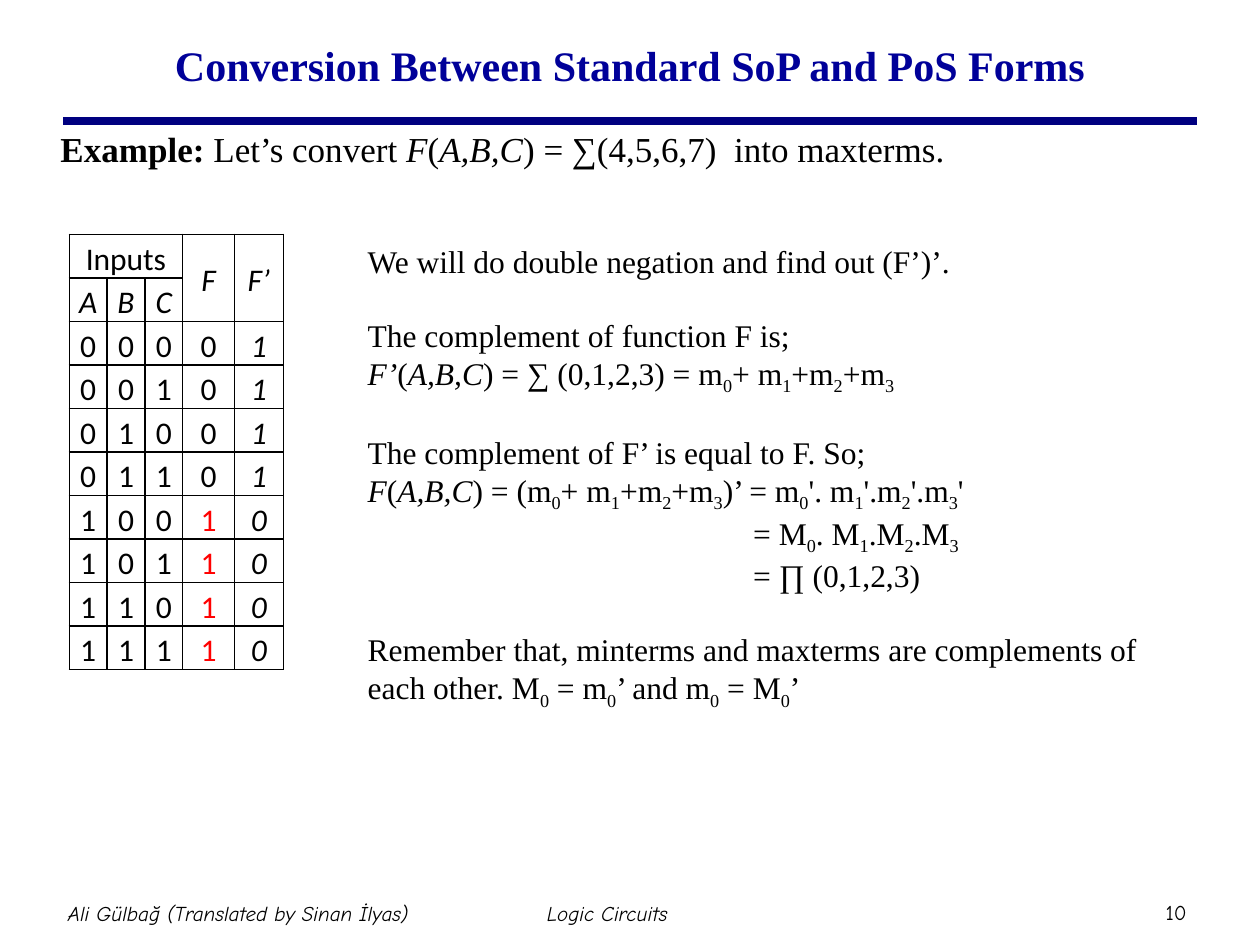
from itertools import product

from lxml.etree import SubElement
from pptx import Presentation
from pptx.dml.color import RGBColor
from pptx.enum.shapes import MSO_CONNECTOR
from pptx.enum.text import MSO_ANCHOR, PP_ALIGN
from pptx.oxml.ns import qn
from pptx.util import Inches, Pt

SERIF, SANS, COMIC = "Times New Roman", "Calibri", "Comic Neue"
BLACK, RED, NAVY, TITLE_BLUE = "000000", "FF0000", "000080", "000099"

TITLE = "Conversion Between Standard SoP and PoS Forms"
EXAMPLE_LABEL = "Example: "
EXAMPLE = "Let’s convert *F*(*A,B,C*) = ∑(4,5,6,7)  into maxterms."

LINE_GAP, EQUALS_INDENT = 20.7, 3.06
DERIVATION = [
    ("We will do double negation and find out (F’)’.", 0, 0),
    ("The complement of function F is;", LINE_GAP, 0),
    ("*F’*(*A,B,C*) = ∑ (0,1,2,3) = m_0+ m_1+m_2+m_3", 0, 0),
    ("The complement of F’ is equal to F. So;", LINE_GAP, 0),
    ("*F*(*A,B,C*) = (m_0+ m_1+m_2+m_3)’ = m_0'. m_1'.m_2'.m_3'", 0, 0),
    ("= M_0. M_1.M_2.M_3", 0, EQUALS_INDENT),
    ("= ∏ (0,1,2,3)", 0, EQUALS_INDENT),
    ("Remember that, minterms and maxterms are complements of each other. "
     "M_0 = m_0’ and m_0 = M_0’", LINE_GAP, 0),
]

FOOTERS = [
    ("Ali Gülbağ (Translated by Sinan İlyas)", (0.1, 7, 3.58, 0.5), True),
    ("Logic Circuits", (3.03, 7, 3.58, 0.5), True),
    ("10", (9.1, 7.09, 0.47, 0.3), False),
]

MINTERMS = {4, 5, 6, 7}
HEADERS = [["Inputs", "", "", "F", "F’"], ["A", "B", "C", "", ""]]
MERGES = [((0, 0), (0, 2)), ((0, 3), (1, 3)), ((0, 4), (1, 4))]
COLUMN_WIDTHS = [0.3, 0.3, 0.3, 0.41, 0.39]
ROW_HEIGHT = 0.345


def color(value):
    return RGBColor.from_string(value)


def style(font, name, size, value=BLACK, bold=False, italic=False):
    font.name, font.size = name, Pt(size)
    font.bold, font.italic = bold, italic
    font.color.rgb = color(value)


def add_run(paragraph, text, size, bold=False, italic=False, subscript=False):
    if text:
        run = paragraph.add_run()
        run.text = text
        style(run.font, SERIF, size, bold=bold, italic=italic)
        if subscript:
            run.font._element.set("baseline", "-25000")


def add_marked_text(paragraph, text, size):
    for part_number, part in enumerate(text.split("*")):
        italic = part_number % 2 == 1
        first, *rest = part.split("_")
        add_run(paragraph, first, size, italic=italic)
        for piece in rest:
            add_run(paragraph, piece[0], size, italic=italic, subscript=True)
            add_run(paragraph, piece[1:], size, italic=italic)


def place(shape, left, top, width, height):
    shape.left, shape.top = Inches(left), Inches(top)
    shape.width, shape.height = Inches(width), Inches(height)


def fill_placeholders(slide):
    title = slide.shapes.title
    place(title, 0.75, 0.08, 8.5, 0.86)
    title.text_frame.text = TITLE
    title.text_frame.vertical_anchor = MSO_ANCHOR.MIDDLE
    paragraph = title.text_frame.paragraphs[0]
    paragraph.alignment = PP_ALIGN.CENTER
    style(paragraph.runs[0].font, SERIF, 24, TITLE_BLUE, bold=True)

    body = slide.placeholders[1]
    place(body, 0.38, 0.96, 9.24, 6.04)
    paragraph = body.text_frame.paragraphs[0]
    properties = paragraph._p.get_or_add_pPr()
    properties.set("marL", "0")
    properties.set("indent", "0")
    SubElement(properties, qn("a:buNone"))
    paragraph.alignment = PP_ALIGN.JUSTIFY
    paragraph.space_before = Pt(0)
    add_run(paragraph, EXAMPLE_LABEL, 20, bold=True)
    add_marked_text(paragraph, EXAMPLE, 20)


def add_rule(slide):
    rule = slide.shapes.add_connector(
        MSO_CONNECTOR.STRAIGHT, Inches(0.5), Inches(0.96), Inches(9.5), Inches(0.96))
    rule.line.color.rgb = color(NAVY)
    rule.line.width = Pt(4.5)
    SubElement(rule._element.spPr, qn("a:effectLst"))


def add_footers(slide):
    for text, box, italic in FOOTERS:
        frame = slide.shapes.add_textbox(*map(Inches, box)).text_frame
        frame.word_wrap = True
        frame.vertical_anchor = MSO_ANCHOR.MIDDLE
        frame.margin_left = frame.margin_right = Inches(0.05)
        frame.margin_top = frame.margin_bottom = Inches(0.05)
        frame.text = text
        paragraph = frame.paragraphs[0]
        paragraph.alignment = PP_ALIGN.CENTER
        style(paragraph.runs[0].font, COMIC, 12, italic=italic)


def add_borders(cell):
    properties = cell._tc.get_or_add_tcPr()
    for position, side in enumerate(("a:lnL", "a:lnR", "a:lnT", "a:lnB")):
        line = SubElement(properties, qn(side), w=str(Pt(1)))
        fill = SubElement(line, qn("a:solidFill"))
        SubElement(fill, qn("a:srgbClr"), val=BLACK)
        properties.insert(position, line)


def truth_rows():
    for number, bits in enumerate(product((0, 1), repeat=3)):
        output = int(number in MINTERMS)
        yield [str(value) for value in (*bits, output, 1 - output)]


def add_truth_table(slide):
    rows = HEADERS + list(truth_rows())
    table = slide.shapes.add_table(
        len(rows), len(COLUMN_WIDTHS), Inches(0.55), Inches(1.86),
        Inches(sum(COLUMN_WIDTHS)), Inches(ROW_HEIGHT * len(rows))).table
    table.first_row = table.horz_banding = False
    for column, width in zip(table.columns, COLUMN_WIDTHS):
        column.width = Inches(width)
    for row_number, values in enumerate(rows):
        table.rows[row_number].height = Inches(ROW_HEIGHT)
        for column_number, text in enumerate(values):
            cell = table.cell(row_number, column_number)
            cell.fill.background()
            add_borders(cell)
            cell.margin_left = cell.margin_right = Inches(0.05)
            cell.margin_top = cell.margin_bottom = 0
            cell.text_frame.text = text
            paragraph = cell.text_frame.paragraphs[0]
            paragraph.alignment = PP_ALIGN.CENTER
            paragraph.line_spacing = 1.15
            is_header = row_number < len(HEADERS)
            is_one = column_number == 3 and text == "1"
            italic = text != "Inputs" and (is_header or column_number == 4)
            style(paragraph.font, SANS, 18, italic=italic)
            for run in paragraph.runs:
                style(run.font, SANS, 18, RED if is_one else BLACK, italic=italic)
    for start, end in MERGES:
        table.cell(*start).merge(table.cell(*end))
    for column_number in (3, 4):
        table.cell(0, column_number).vertical_anchor = MSO_ANCHOR.MIDDLE


def add_derivation(slide):
    box = slide.shapes.add_textbox(Inches(2.82), Inches(1.87), Inches(6.43), Inches(3.74))
    frame = box.text_frame
    frame.word_wrap = True
    for number, (text, space_before, indent) in enumerate(DERIVATION):
        paragraph = frame.add_paragraph() if number else frame.paragraphs[0]
        paragraph.space_before = Pt(space_before)
        paragraph._p.get_or_add_pPr().set("marL", str(Inches(indent)))
        add_marked_text(paragraph, text, 18)


def main():
    presentation = Presentation()
    presentation.slide_width, presentation.slide_height = Inches(10), Inches(7.5)
    slide = presentation.slides.add_slide(presentation.slide_layouts[1])
    add_rule(slide)
    fill_placeholders(slide)
    add_footers(slide)
    add_truth_table(slide)
    add_derivation(slide)
    presentation.save("out.pptx")


if __name__ == "__main__":
    main()
